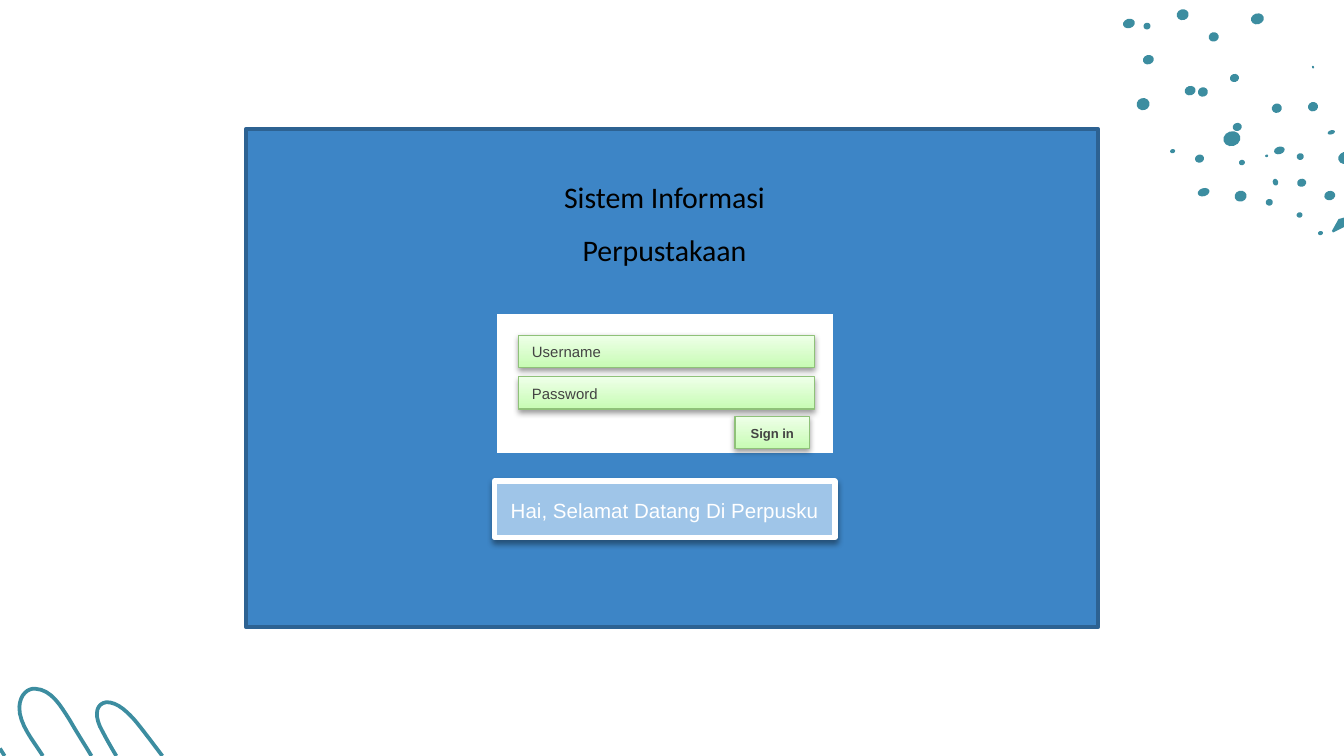
from lxml.etree import SubElement
from pptx import Presentation
from pptx.dml.color import RGBColor as Rgb
from pptx.enum.shapes import MSO_SHAPE as Preset
from pptx.enum.text import MSO_ANCHOR as Anchor, MSO_AUTO_SIZE as AutoSize, PP_ALIGN as Align
from pptx.oxml.ns import qn
from pptx.util import Pt

COLORS = {
    "teal": "3C8DA0", "panel": "3D85C6", "panel_edge": "2D6292", "white": "FFFFFF",
    "mint": "C7FCB4", "pale_mint": "EFFFE9", "field_edge": "8FC179",
    "banner": "9FC5E8", "black": "000000", "label": "434343",
}

DOTS = [
    (659.9, 74.3, 9.2, 7.9), (665.3, 87.1, 3.2, 2.9), (678.6, 83.5, 1.6, 1.4),
    (683.3, 97.6, 2.9, 3.6), (696.2, 115.2, 3.2, 2.9), (707.4, 124.9, 2.7, 2.2),
    (712.4, 104.8, 5.9, 5), (697.3, 97.9, 4.9, 4.3), (680, 108.4, 3.8, 3.6),
    (696.6, 83.9, 3.8, 3.6), (685.4, 80.6, 5.8, 4), (684, 58, 5.4, 5),
    (662.8, 68, 4.9, 4.3), (661.3, 41.8, 4.9, 4.3), (644.4, 49.3, 5.4, 5),
    (637.6, 48.6, 5.9, 5), (650.2, 19.8, 5.4, 5), (615.2, 32, 5.9, 5),
    (633.6, 7.9, 6.5, 5.8), (614.5, 14, 3.8, 3.6), (604.8, 12.6, 6.5, 5),
    (612.4, 55.8, 7, 6.5), (703.4, 36, 1.1, 1.4), (703.4, 57.2, 5.4, 5),
    (713.2, 70.9, 4, 2.2), (720.7, 84.6, 7.6, 6.5), (664.6, 105.1, 6.5, 5.8),
    (644.8, 103, 6.5, 4.3), (642.6, 85, 4.9, 4.3), (628.2, 81, 2.7, 2.2),
    (673.6, 10.1, 7, 5.8),
]
FLECK = [(717.1, 117.4), (713.5, 123.8), (714.2, 124.6), (720, 121.7), (720, 116.6)]
LOOPS = [
    [(23, 405), (18, 397), (10.1, 388), (10.4, 378.7), (10.8, 372), (15, 368.6), (19, 369),
     (27.5, 369.5), (32.5, 378), (37.5, 386), (41.5, 393), (45.5, 399), (49, 405)],
    [(62.4, 405), (59, 399.5), (56, 394), (53.5, 389), (50.5, 382), (52, 377), (57, 376.2),
     (63, 376), (69, 382), (73.2, 387), (78, 393), (82.5, 399), (87, 405)],
]
STRAY_STROKE = [(0, 401), (2.5, 405)]


def smooth(controls, steps=8):
    """Return points along a chain of cubic curves."""
    points = [controls[0]]
    for first in range(0, len(controls) - 1, 3):
        for step in range(1, steps + 1):
            t = step / steps
            weights = ((1 - t) ** 3, 3 * t * (1 - t) ** 2, 3 * t * t * (1 - t), t ** 3)
            points.append(tuple(
                sum(w * p[axis] for w, p in zip(weights, controls[first:first + 4]))
                for axis in (0, 1)))
    return points


class SlideStyle:
    """Holds the style and the slide being drawn."""

    paragraph_format = {"line_spacing": 1.07, "space_before": Pt(0), "space_after": Pt(8)}

    def __init__(self, slide):
        """Keep the slide to draw on."""
        self.slide = slide
        self.shapes = slide.shapes

    def color(self, name):
        """Look up a colour by name."""
        return Rgb.from_string(COLORS[name])

    def outline(self, shape, color, width):
        """Draw the edge of a shape, or none."""
        if color:
            shape.line.color.rgb = self.color(color)
            shape.line.width = Pt(width)
        else:
            shape.line.fill.background()

    def label(self, shape, lines, font, size, color, align=Align.CENTER, bold=False,
              anchor=Anchor.MIDDLE):
        """Fill a shape with formatted paragraphs."""
        frame = shape.text_frame
        frame.text = "\n".join(lines)
        frame_format = {"word_wrap": True, "auto_size": AutoSize.NONE, "vertical_anchor": anchor}
        for key, value in frame_format.items():
            setattr(frame, key, value)
        for paragraph in frame.paragraphs:
            for key, value in {**self.paragraph_format, "alignment": align}.items():
                setattr(paragraph, key, value)
            run_font = paragraph.runs[0].font
            for key, value in {"name": font, "size": Pt(size), "bold": bold}.items():
                setattr(run_font, key, value)
            run_font.color.rgb = self.color(color)

    def title(self, lines, left, top, width, height):
        """Place the title above what is already drawn."""
        heading = self.shapes.title
        box = {"left": left, "top": top, "width": width, "height": height}
        for key, value in box.items():
            setattr(heading, key, Pt(value))
        self.label(heading, lines, "Calibri", 16, "black", anchor=Anchor.TOP)
        heading.element.getparent().append(heading.element)

    def block(self, left, top, width, height, fill, edge=None, edge_width=0, preset=Preset.RECTANGLE):
        """Add a filled preset shape."""
        shape = self.shapes.add_shape(preset, Pt(left), Pt(top), Pt(width), Pt(height))
        shape.shadow.inherit = False
        shape.fill.solid()
        shape.fill.fore_color.rgb = self.color(fill)
        self.outline(shape, edge, edge_width)
        return shape

    def dot(self, x, y, width, height):
        """Add a tilted dot around its centre."""
        dot = self.block(x - width / 2, y - height / 2, width, height, "teal", preset=Preset.OVAL)
        dot.rotation = 343.5

    def stroke(self, points, closed=False):
        """Add a filled outline or an open line."""
        start, *rest = [(Pt(x), Pt(y)) for x, y in points]
        builder = self.shapes.build_freeform(*start)
        builder.add_line_segments(rest, close=closed)
        shape = builder.convert_to_shape()
        shape.shadow.inherit = False
        if closed:
            shape.fill.solid()
            shape.fill.fore_color.rgb = self.color("teal")
            self.outline(shape, None, 0)
        else:
            shape.fill.background()
            self.outline(shape, "teal", 2)

    def cast_shadow(self, shape):
        """Give a shape a soft shadow below."""
        effects = shape.element.spPr.find(qn("a:effectLst"))
        shadow = SubElement(effects, qn("a:outerShdw"), blurRad=str(Pt(3.1)),
                            dist=str(Pt(1.6)), dir="5400000", rotWithShape="0")
        tint = SubElement(shadow, qn("a:srgbClr"), val=COLORS["black"])
        SubElement(tint, qn("a:alpha"), val="38000")

    def control(self, text, left, top, width, size, **text_format):
        """Add a green form control with its label."""
        control = self.block(left, top, width, 17.3, "mint", "field_edge", 0.75)
        control.fill.gradient()
        control.fill.gradient_angle = 90
        for stop, name in zip(control.fill.gradient_stops, ("mint", "pale_mint")):
            stop.color.rgb = self.color(name)
        self.cast_shadow(control)
        self.label(control, [text], "Arial", size, "label", **text_format)


def main():
    """Build the login screen slide."""
    deck = Presentation()
    deck.slide_width, deck.slide_height = Pt(720), Pt(405)
    page = SlideStyle(deck.slides.add_slide(deck.slide_layouts[5]))

    for dot in DOTS:
        page.dot(*dot)
    page.stroke(FLECK, closed=True)
    for loop in LOOPS:
        page.stroke(smooth(loop))
    page.stroke(STRAY_STROKE)

    page.block(131.8, 69, 456.5, 267.1, "panel", "panel_edge", 2)
    page.title(["Sistem Informasi", "Perpustakaan"], 265.7, 90.7, 180.7, 66.2)
    page.block(265, 167, 182.2, 77, "white", "panel", 2)
    for row, field in enumerate(("Username", "Password")):
        page.control(field, 277.9, 179.6 + 22.2 * row, 158.4, 8, align=Align.LEFT)
    page.control("Sign in", 393.8, 223, 39.9, 7, bold=True)

    greeting = page.block(265, 257.8, 182.2, 30.2, "banner", "white", 3)
    page.cast_shadow(greeting)
    page.label(greeting, ["Hai, Selamat Datang Di Perpusku"], "Arial", 11, "white")

    deck.save("out.pptx")


if __name__ == "__main__":
    main()
